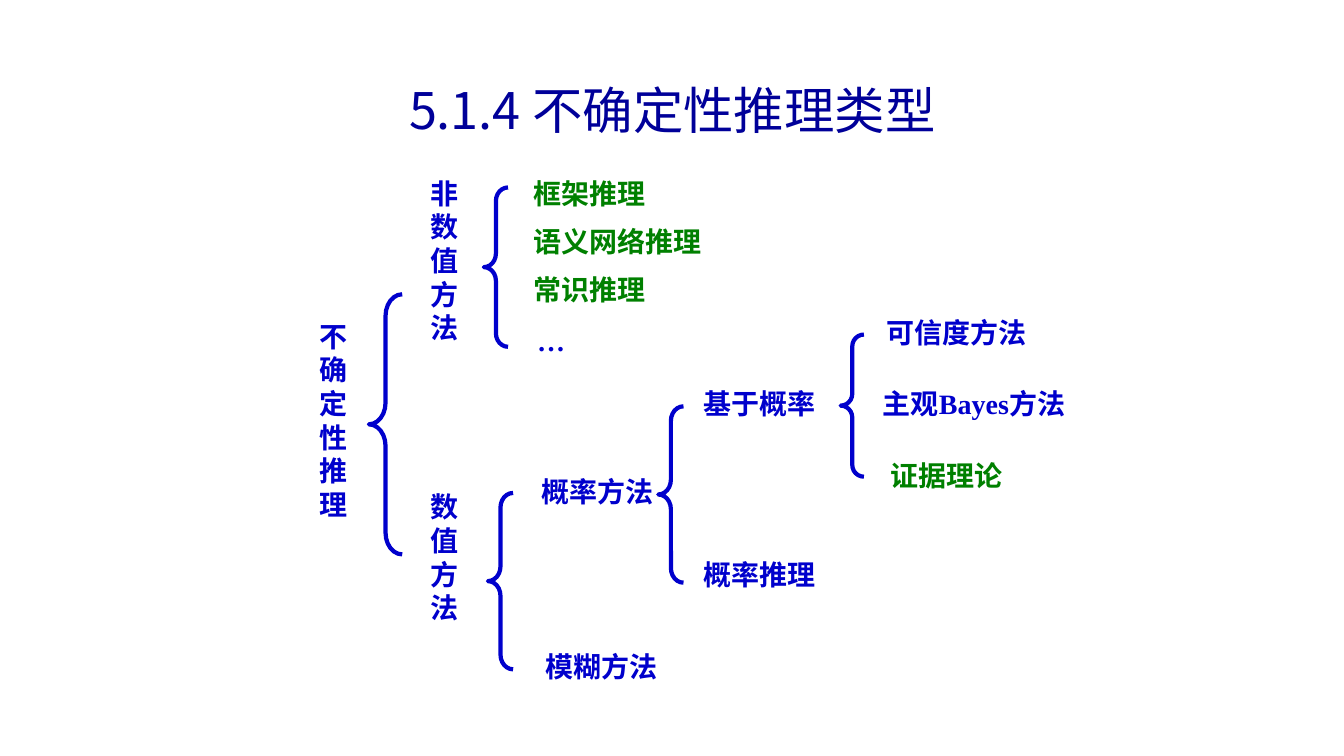
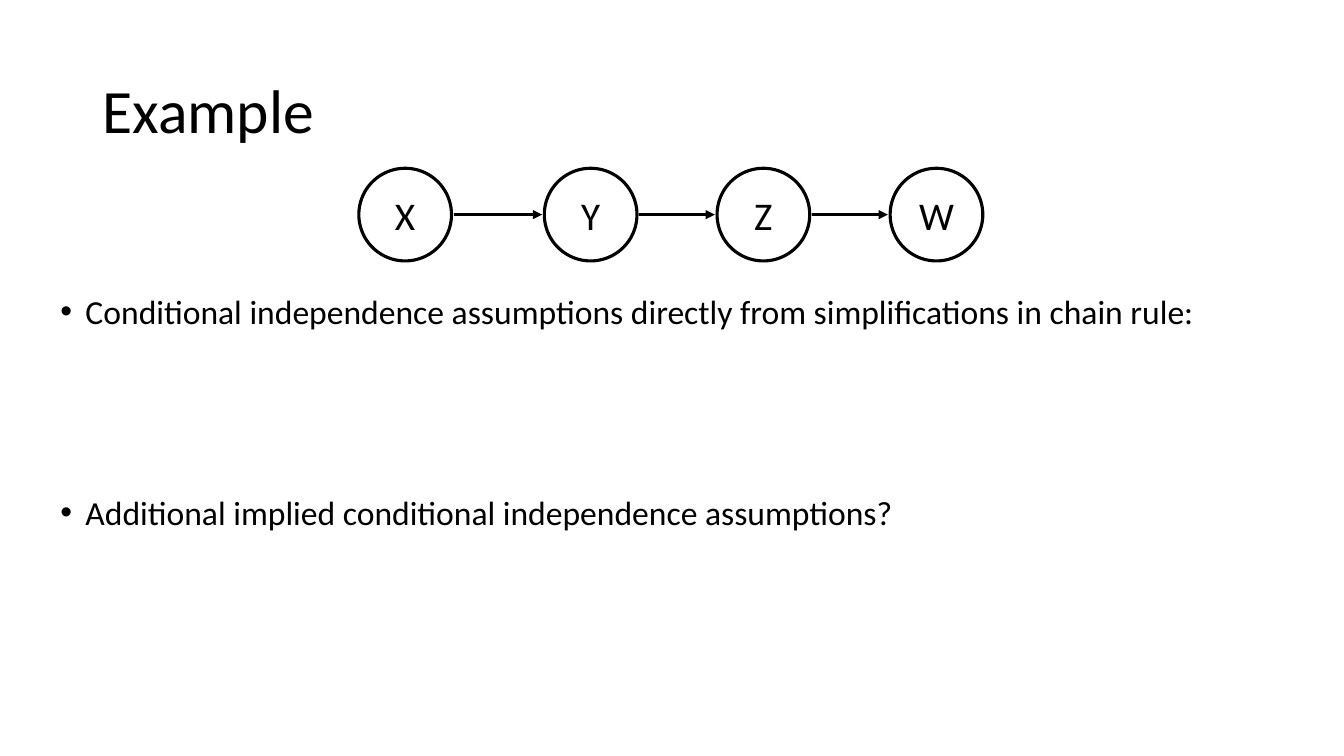
from lxml import etree
from pptx import Presentation
from pptx.dml.color import RGBColor
from pptx.enum import shapes as es, text as et
from pptx.oxml.ns import qn
from pptx.util import Pt

BLUE = RGBColor(0x00, 0x00, 0xCC)
NAVY = RGBColor(0x00, 0x00, 0x99)
GREEN = RGBColor(0x00, 0x80, 0x00)
BLACK = RGBColor(0, 0, 0)
WHITE = RGBColor(255, 255, 255)
HAN, SERIF, SANS = "Noto Sans CJK SC", "Times New Roman", "Calibri"

# Content of the tree: text, left, top, width, height, colour, font
TITLE = "5.1.4 不确定性推理类型"
LABELS = [
    ("不确定性推理", 221, 224.6, 36, 155.5, BLUE, SERIF),
    ("非数值方法", 300.2, 122.4, 34, 130.3, BLUE, SERIF),
    ("数值方法", 300.2, 346.3, 36, 95, BLUE, SERIF),
    ("框架推理", 373.7, 122.4, 136.8, 31.7, GREEN, HAN),
    ("语义网络推理", 373.7, 157, 144.7, 28.8, GREEN, HAN),
    ("常识推理", 373.7, 190.8, 136.8, 28.8, GREEN, HAN),
    ("…", 376.6, 227.5, 110.9, 28.8, BLUE, SERIF),
    ("概率方法", 379.4, 335.5, 96.5, 33.8, BLUE, SERIF),
    ("模糊方法", 382.3, 460.1, 111.6, 29.5, BLUE, SERIF),
    ("基于概率", 495.4, 272.9, 96.5, 33.8, BLUE, SERIF),
    ("概率推理", 495.4, 394.6, 96.5, 33.8, BLUE, SERIF),
    ("可信度方法", 626.4, 221.8, 127.4, 31, BLUE, SERIF),
    ("主观Bayes方法", 623.5, 272.9, 153.4, 28.8, BLUE, SERIF),
    ("证据理论", 629.3, 324, 108, 33.8, GREEN, SERIF),
]
# Left, top, width, height, curl, point
BRACES = [
    (263.5, 210.2, 23.8, 185.8, 0.65, 0.5),
    (345.6, 133.9, 17.3, 113.8, 0.56, 0.5),
    (348.5, 352.1, 18, 126, 0.58, 0.5),
    (470.2, 290.2, 18, 126, 0.58, 0.5),
    (600.5, 239, 16.6, 101.5, 0.51, 0.5),
]

# Content of the chain: name, left
NODES = [("X", 256.3), ("Y", 388.8), ("Z", 512.2), ("W", 635.8)]
TOP, SIZE, GAP = 120.2, 66.2, 1.5
# Text, space before
POINTS = [
    ("Conditional independence assumptions directly from "
     "simplifications in chain rule:", 0),
    ("Additional implied conditional independence assumptions?", 117.5),
]


def style(para, face, size, color, bold=False):
    font = para.font
    font.name, font.size, font.bold = face, Pt(size), bold
    font.color.rgb = color
    if face != SANS:
        props = para._p.pPr.find(qn("a:defRPr"))
        etree.SubElement(props, qn("a:ea")).set("typeface", HAN)


def add_box(slide, rect):
    frame = slide.shapes.add_textbox(*map(Pt, rect)).text_frame
    frame.word_wrap = True
    return frame


def add_title(slide, words, face, size, color, align):
    frame = add_box(slide, (66.2, 28.8, 828, 104.4))
    frame.vertical_anchor = et.MSO_ANCHOR.MIDDLE
    para = frame.paragraphs[0]
    para.text, para.alignment, para.line_spacing = words, align, 0.9
    style(para, face, size, color)


def add_shape(slide, kind, rect, color, width):
    shape = slide.shapes.add_shape(kind, *map(Pt, rect))
    shape.shadow.inherit = False
    shape.line.color.rgb, shape.line.width = color, Pt(width)
    return shape


def add_arrow(slide, start, end, y):
    line = slide.shapes.add_connector(
        es.MSO_CONNECTOR.STRAIGHT, Pt(start), Pt(y), Pt(end), Pt(y))
    line.line.color.rgb, line.line.width = BLACK, Pt(2.25)
    props = line._element.spPr
    etree.SubElement(props.find(qn("a:ln")), qn("a:tailEnd")).set(
        "type", "triangle")
    etree.SubElement(props, qn("a:effectLst"))


def add_bullet(para):
    props = para._p.get_or_add_pPr()
    props.set("marL", str(Pt(18)))
    props.set("indent", str(Pt(-18)))
    etree.SubElement(props, qn("a:buFont")).set("typeface", "Arial")
    etree.SubElement(props, qn("a:buChar")).set("char", "•")


def build_tree(slide):
    add_title(slide, TITLE, HAN, 36, NAVY, et.PP_ALIGN.CENTER)
    for *rect, curl, point in BRACES:
        brace = add_shape(slide, es.MSO_SHAPE.LEFT_BRACE, rect, BLUE, 3)
        brace.fill.background()
        brace.adjustments[0], brace.adjustments[1] = curl, point
    for words, *rect, color, face in LABELS:
        para = add_box(slide, rect).paragraphs[0]
        para.text, para.alignment = words, et.PP_ALIGN.JUSTIFY
        style(para, face, 20, color, True)


def build_chain(slide):
    add_title(slide, "Example", SANS, 44, BLACK, et.PP_ALIGN.LEFT)
    # Bullets
    frame = add_box(slide, (36, 207.4, 864, 266.4))
    for i, (words, space) in enumerate(POINTS):
        para = frame.add_paragraph() if i else frame.paragraphs[0]
        para.text, para.line_spacing = words, 0.9
        para.space_before = Pt(space)
        add_bullet(para)
        style(para, SANS, 24, BLACK)
    # Nodes
    for name, left in NODES:
        node = add_shape(slide, es.MSO_SHAPE.OVAL,
                         (left, TOP, SIZE, SIZE), BLACK, 2.25)
        node.fill.solid()
        node.fill.fore_color.rgb = WHITE
        frame = node.text_frame
        frame.word_wrap = False
        frame.vertical_anchor = et.MSO_ANCHOR.MIDDLE
        para = frame.paragraphs[0]
        para.text, para.alignment = name, et.PP_ALIGN.CENTER
        style(para, SANS, 28, BLACK)
    # Arrows between neighbours
    for (_, left), (_, right) in zip(NODES, NODES[1:]):
        add_arrow(slide, left + SIZE + GAP, right - GAP, TOP + SIZE / 2)


def main():
    deck = Presentation()
    deck.slide_width, deck.slide_height = Pt(960), Pt(540)
    for build in (build_tree, build_chain):
        build(deck.slides.add_slide(deck.slide_layouts[6]))
    deck.save("out.pptx")


if __name__ == "__main__":
    main()
